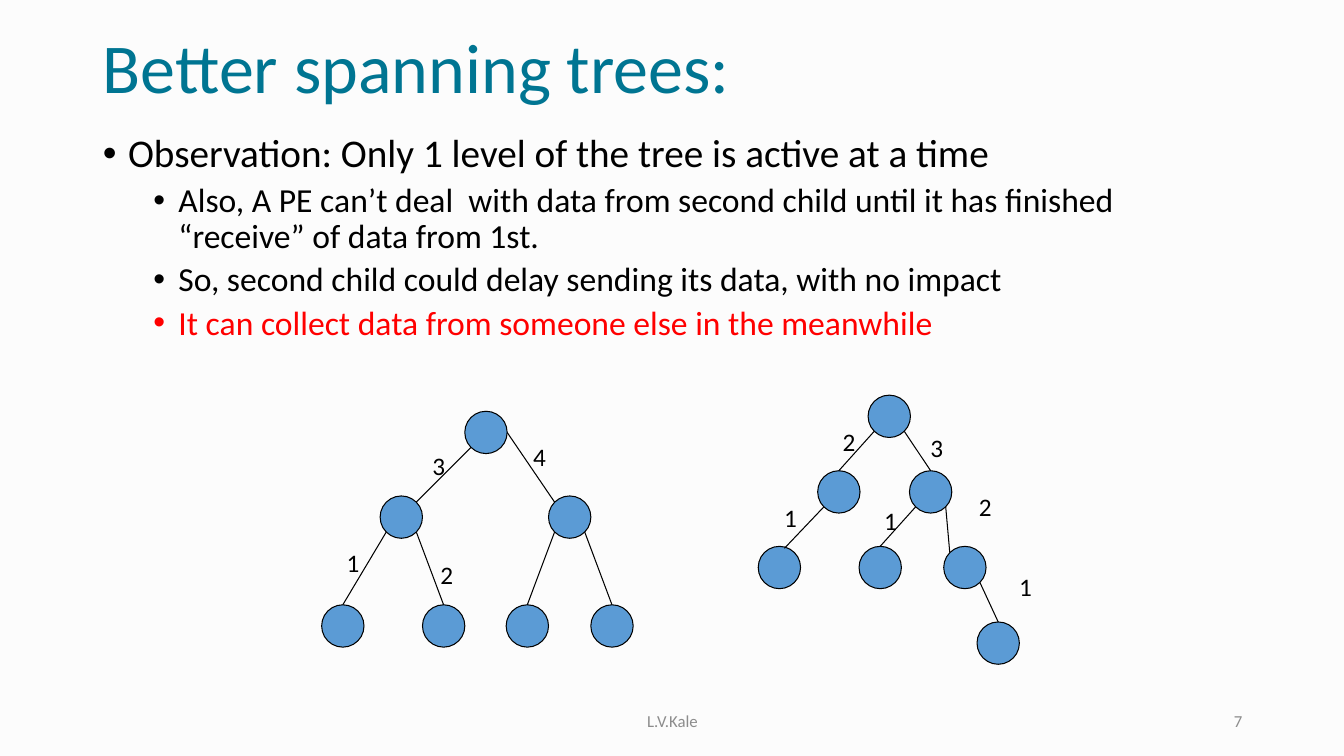
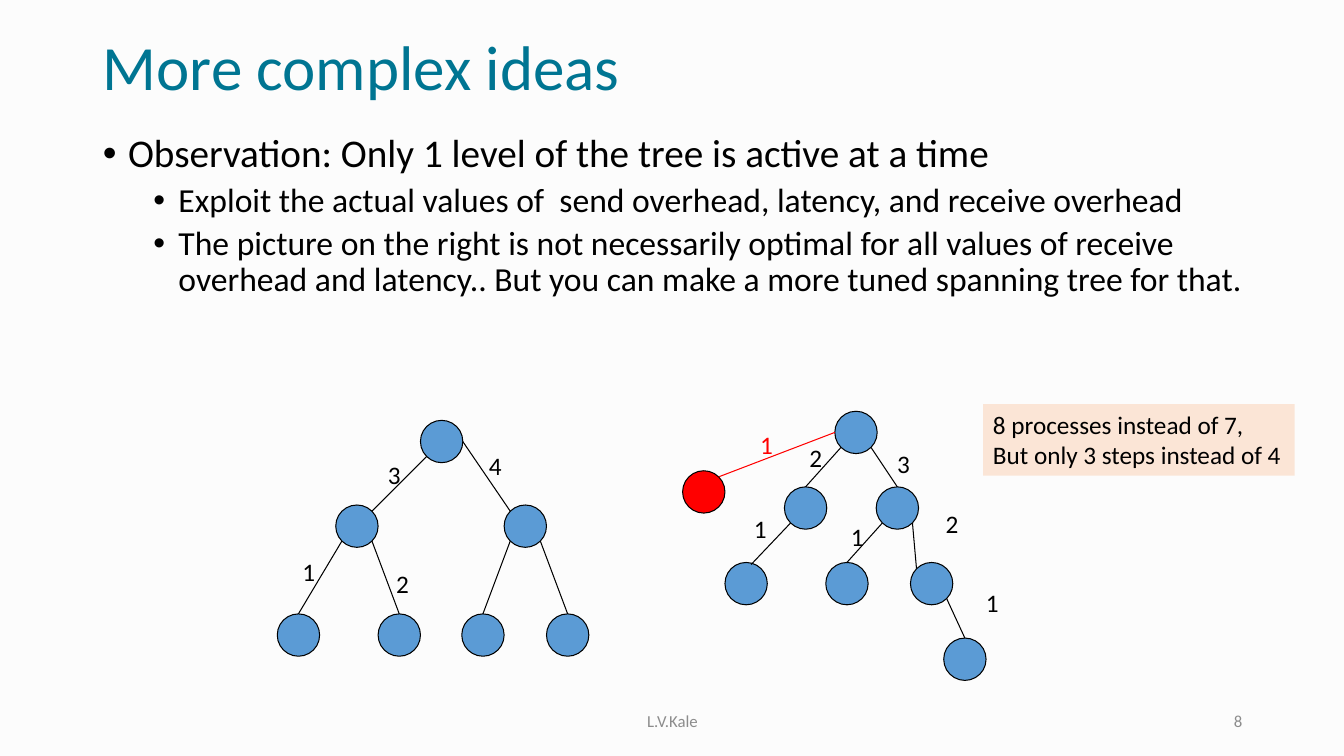
from lxml import etree
from pptx import Presentation
from pptx import util as u
from pptx.dml.color import RGBColor
from pptx.enum import shapes, text
from pptx.oxml.ns import qn

FONT = "Calibri"
COLORS = {"back": "FCFCFC", "title": "007592", "text": "000000", "foot": "8C8C8C",
          "node": "5B9BD5", "line": "000000", "red": "FF0000", "note": "FBE5D6"}
SIZE = 0.42  # node diameter
# Points on a node, measured from its top left corner
SITES = {"top": (0.21, 0), "left": (0, 0.21), "right": (0.42, 0.21),
         "tl": (0.06, 0.06), "tr": (0.36, 0.06),
         "bl": (0.06, 0.36), "br": (0.36, 0.36), "slope": (0.26, 0.02)}

# Trees, measured from their own origin
PLAIN = {
    "nodes": {"root": (1.42, 0), "L": (0.58, 0.84), "R": (2.25, 0.84),
              "a": (0, 1.92), "b": (1, 1.92), "c": (1.83, 1.92), "d": (2.67, 1.92)},
    "edges": [("root", "bl", "L", "tr"), ("L", "bl", "a", "top"),
              ("L", "br", "b", "top"), ("root", "right", "R", "tl"),
              ("R", "bl", "c", "top"), ("R", "br", "d", "top")],
    "labels": [("1", 0.15, 1.3), ("2", 1.08, 1.42), ("3", 1, 0.34), ("4", 2, 0.25)],
}
SKEWED = {
    "nodes": {"root": (1.09, 0), "L": (0.59, 0.75), "R": (1.5, 0.75),
              "a": (0, 1.5), "b": (1, 1.5), "c": (1.84, 1.5), "d": (2.17, 2.25)},
    "edges": [("root", "bl", "L", "top"), ("root", "br", "R", "top"),
              ("L", "bl", "a", "slope"), ("R", "br", "c", "tl"),
              ("R", "bl", "b", "top"), ("c", "br", "d", "top")],
    "labels": [("1", 2.49, 1.7), ("1", 1.15, 1.04), ("2", 0.74, 0.26),
               ("2", 2.09, 0.91), ("3", 1.61, 0.32)],
}

# Slide wording: (level, text, colour)
FIRST = (0, "Observation: Only 1 level of the tree is active at a time", "text")
BETTER = [
    FIRST,
    (1, "Also, A PE can’t deal  with data from second child until it has finished "
        "“receive” of data from 1st.", "text"),
    (1, "So, second child could delay sending its data, with no impact", "text"),
    (1, "It can collect data from someone else in the meanwhile", "red"),
]
COMPLEX = [
    FIRST,
    (1, "Exploit the actual values of  send overhead, latency, and receive overhead",
     "text"),
    (1, "The picture on the right is not necessarily optimal for all values of receive "
        "overhead and latency.. But you can make a more tuned spanning tree for that.",
     "text"),
]


def rgb(name):
    return RGBColor.from_string(COLORS[name])


def apply(item, **values):
    for key, value in values.items():
        setattr(item, key, value)


def place(item, x, y, w, h):
    apply(item, left=u.Inches(x), top=u.Inches(y),
          width=u.Inches(w), height=u.Inches(h))


def write(para, words, size, color="text"):
    run = para.add_run()
    run.text = words
    apply(run.font, name=FONT, size=u.Pt(size))
    run.font.color.rgb = rgb(color)
    return run


def bullet(para, level):
    props = para._p.get_or_add_pPr()
    props.set("marL", str(u.Inches(0.25 + 0.5 * level)))
    props.set("indent", str(u.Inches(-0.25)))
    etree.SubElement(props, qn("a:buFont")).set("typeface", "Arial")
    etree.SubElement(props, qn("a:buChar")).set("char", "•")


def box(slide, lines, x, y, w, h, size=18, color="text", **frame):
    item = slide.shapes.add_textbox(*map(u.Inches, (x, y, w, h)))
    apply(item.text_frame, **{"word_wrap": True, **frame})
    for i, words in enumerate(lines):
        para = item.text_frame.add_paragraph() if i else item.text_frame.paragraphs[0]
        write(para, words, size, color)
    return item


def label(slide, words, x, y, color="text"):
    box(slide, [words], x, y, 0.33, 0.4, color=color)


def footer(slide, words, x, w, align):
    item = box(slide, [words], x, 6.95, w, 0.4, 12, "foot",
               vertical_anchor=text.MSO_ANCHOR.MIDDLE)
    para = item.text_frame.paragraphs[0]
    para.alignment = align
    return para


def number(para):
    """Turn the paragraph's run into a slide number field."""
    run = para.runs[0]._r
    field = etree.Element(qn("a:fld"), type="slidenum",
                          id="{B6F15528-21DE-4FAA-801E-634DDDAF4B2B}")
    run.addprevious(field)
    field.extend(list(run))
    para._p.remove(run)


def dot(slide, x, y, color="node"):
    item = slide.shapes.add_shape(shapes.MSO_SHAPE.OVAL,
                                  *map(u.Inches, (x, y, SIZE, SIZE)))
    item.shadow.inherit = False
    item.fill.solid()
    item.fill.fore_color.rgb = rgb(color)
    item.line.color.rgb = rgb("line")
    item.line.width = u.Pt(0.75)


def site(node, name):
    return [a + b for a, b in zip(node, SITES[name])]


def line(slide, start, end, color="line"):
    item = slide.shapes.add_connector(shapes.MSO_CONNECTOR.STRAIGHT,
                                      *map(u.Inches, (*start, *end)))
    item.line.color.rgb = rgb(color)
    item.line.width = u.Pt(0.75)
    etree.SubElement(item._element.spPr, qn("a:effectLst"))


def tree(slide, kind, x, y):
    """Draw a tree and return the places of its nodes."""
    nodes = {key: (x + dx, y + dy) for key, (dx, dy) in kind["nodes"].items()}
    for node in nodes.values():
        dot(slide, *node)
    for a, start, b, end in kind["edges"]:
        line(slide, site(nodes[a], start), site(nodes[b], end))
    for words, dx, dy in kind["labels"]:
        label(slide, words, x + dx, y + dy)
    return nodes


def page(deck, title, size, items, num):
    slide = deck.slides.add_slide(deck.slide_layouts[1])
    head, body = slide.placeholders
    # Title
    place(head, 0.92, 0.28, 11.5, 0.84)
    apply(head.text_frame, auto_size=text.MSO_AUTO_SIZE.NONE,
          vertical_anchor=text.MSO_ANCHOR.MIDDLE)
    para = head.text_frame.paragraphs[0]
    apply(para, alignment=text.PP_ALIGN.LEFT, line_spacing=0.9)
    write(para, title, size, "title")
    # List
    place(body, 0.92, 1.28, 11.5, 5.48)
    body.text_frame.auto_size = text.MSO_AUTO_SIZE.NONE
    for i, (level, words, color) in enumerate(items):
        para = body.text_frame.add_paragraph() if i else body.text_frame.paragraphs[0]
        bullet(para, level)
        apply(para, level=level, line_spacing=0.9, space_before=u.Pt(5 if i else 0))
        write(para, words, 24 if level else 28, color)
    # Footer
    footer(slide, "L.V.Kale", 4.42, 4.5, text.PP_ALIGN.CENTER)
    number(footer(slide, str(num), 9.42, 3, text.PP_ALIGN.RIGHT))
    return slide


def main():
    deck = Presentation()
    apply(deck, slide_width=u.Inches(13.33), slide_height=u.Inches(7.5))
    back = deck.slide_master.background.fill
    back.solid()
    back.fore_color.rgb = rgb("back")
    deck.slides._sldIdLst.getparent().set("firstSlideNum", "7")

    # Better spanning trees
    slide = page(deck, "Better spanning trees:", 50, BETTER, 7)
    tree(slide, PLAIN, 3.19, 4.08)
    tree(slide, SKEWED, 7.52, 3.92)
    label(slide, "1", 7.68, 4.93)

    # More complex ideas
    slide = page(deck, "More complex ideas", 45, COMPLEX, 8)
    tree(slide, PLAIN, 2.75, 4.17)
    nodes = tree(slide, SKEWED, 7.19, 4.08)
    label(slide, "1", 7.38, 5.04)

    # Extra process and its note
    extra = (6.77, 4.67)
    dot(slide, *extra, "red")
    line(slide, site(extra, "tr"), site(nodes["root"], "left"), "red")
    label(slide, "1", 7.44, 4.21, "red")
    note = box(slide, ["8 processes instead of 7,", "But only 3 steps instead of 4"],
               9.75, 4.01, 3.09, 0.71, word_wrap=False)
    note.fill.solid()
    note.fill.fore_color.rgb = rgb("note")

    deck.save("out.pptx")


if __name__ == "__main__":
    main()
